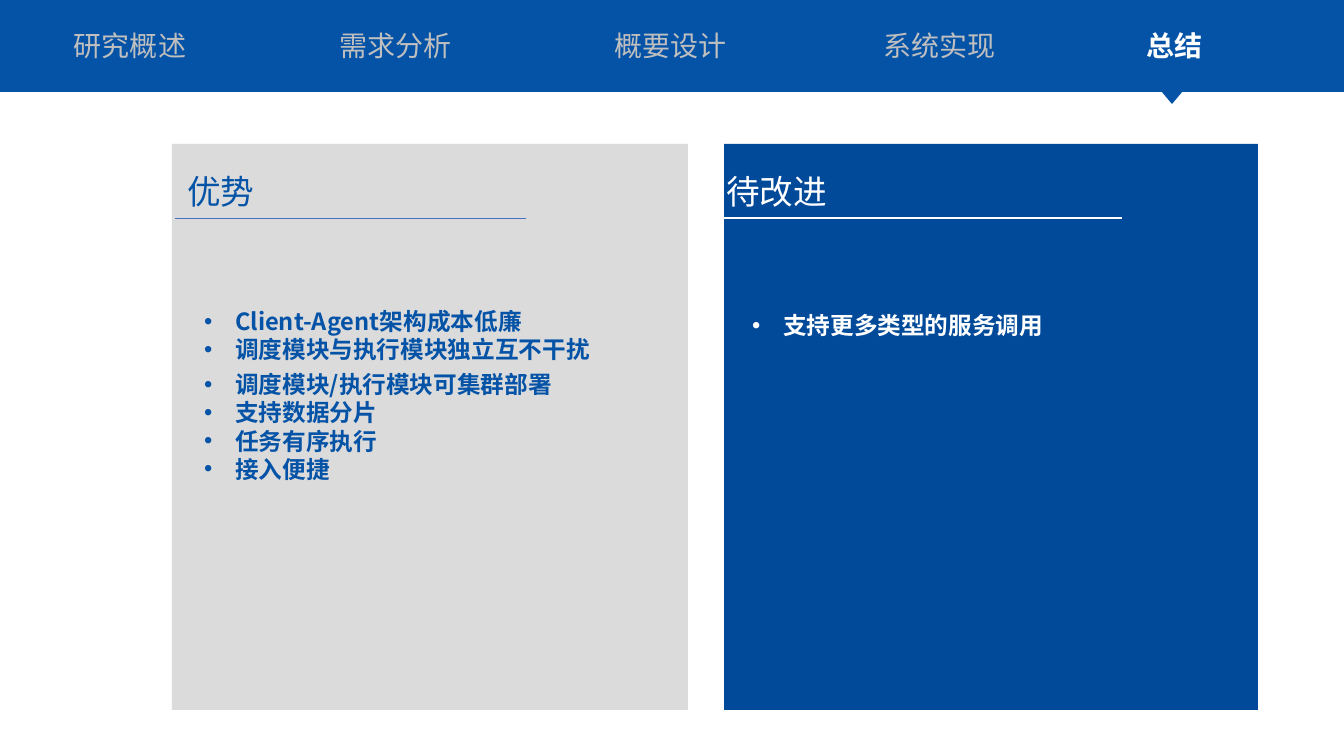
from pptx import Presentation
from pptx.dml.color import RGBColor
from pptx.enum.shapes import MSO_CONNECTOR, MSO_SHAPE as SHAPE
from pptx.enum.text import MSO_ANCHOR as ANCHOR, MSO_AUTO_SIZE as AUTOSIZE, PP_ALIGN as ALIGN
from pptx.oxml.ns import qn
from pptx.util import Pt
from lxml.etree import SubElement

PX = 9071  # EMU per pixel at 100.8 pixels to the inch
FONT = "Noto Sans CJK SC"
WHITE = RGBColor(0xFF, 0xFF, 0xFF)
SILVER = RGBColor(0xBF, 0xBF, 0xBF)
NAV_BLUE = RGBColor(0x05, 0x53, 0xA7)
PANEL_BLUE = RGBColor(0x01, 0x49, 0x99)
RULE_BLUE = RGBColor(0x44, 0x72, 0xC4)
INDENT = 31  # hanging indent of bullets

TABS = [("研究概述", 64), ("需求分析", 330), ("概要设计", 605),
        ("系统实现", 874), ("总结", 1136)]
ACTIVE = "总结"
STRENGTHS = ["Client-Agent架构成本低廉", "调度模块与执行模块独立互不干扰",
             "调度模块/执行模块可集群部署", "支持数据分片", "任务有序执行", "接入便捷"]
IMPROVEMENTS = ["支持更多类型的服务调用"]


def px(*lengths):
    return [round(length * PX) for length in lengths]


def write(holder, lines, box, *, size, color, bold=False, bullet=False, gap_after=None):
    """Fill a text holder, move it to box and bring it to the front."""
    holder.left, holder.top, holder.width, holder.height = px(*box)
    tree = holder._element.getparent()
    tree.append(holder._element)
    frame = holder.text_frame
    frame.text = "\n".join(lines)
    frame.word_wrap = True
    frame.auto_size = AUTOSIZE.NONE
    frame.vertical_anchor = ANCHOR.TOP
    for index, para in enumerate(frame.paragraphs):
        para.alignment = ALIGN.LEFT
        para.line_spacing = Pt(round(size * 1.19, 1))
        para.space_before = Pt(0)
        para.space_after = Pt(5 if index == gap_after else 0)
        props = para._p.get_or_add_pPr()
        hang = px(INDENT)[0] if bullet else 0
        props.set("marL", str(hang))
        props.set("indent", str(-hang))
        if bullet:
            SubElement(props, qn("a:buFont"), typeface="Arial")
            SubElement(props, qn("a:buChar"), char="•")
        else:
            SubElement(props, qn("a:buNone"))
        for run in para.runs:
            font = run.font
            font.name, font.size, font.bold = FONT, Pt(size), bold
            font.color.rgb = color
            SubElement(run._r.get_or_add_rPr(), qn("a:ea"), typeface=FONT)


def block(slide, kind, box, color, alpha=None):
    shape = slide.shapes.add_shape(kind, *px(*box))
    shape.shadow.inherit = False
    shape.fill.solid()
    shape.fill.fore_color.rgb = color
    shape.line.fill.background()
    if alpha is not None:
        tint = shape._element.spPr.find(qn("a:solidFill"))[0]
        SubElement(tint, qn("a:alpha"), val=str(alpha * 1000))
    return shape


def rule(slide, left, right, y, color, weight):
    line = slide.shapes.add_connector(MSO_CONNECTOR.STRAIGHT, *px(left, y, right, y))
    line.line.color.rgb = color
    line.line.width = Pt(weight)
    SubElement(line._element.spPr, qn("a:effectLst"))


def panel(slide, box, heading, items, *, holders, fill, ink, rule_style,
          heading_at, rule_at, list_at, alpha=None):
    """Coloured panel with heading, rule and bullet list, placed relative to box."""
    left, top, width, height = box
    heading_holder, list_holder = (slide.placeholders[i] for i in holders)
    block(slide, SHAPE.RECTANGLE, box, fill, alpha)
    write(heading_holder, [heading], (left + heading_at, top + 22, 232, 50),
          size=24, color=ink)
    rule(slide, left + rule_at[0], left + rule_at[1], top + 74, *rule_style)
    write(list_holder, items, (left + list_at[0], top + list_at[1], 415, 188),
          size=16.9, color=ink, bold=True, bullet=True, gap_after=1)


def navigation(slide, box):
    """Band of section tabs; the active one is the slide title."""
    left, top, width, height = box
    block(slide, SHAPE.RECTANGLE, box, NAV_BLUE)
    for label, tab_left in TABS:
        active = label == ACTIVE
        holder = slide.shapes.title if active else slide.shapes.add_textbox(0, 0, 0, 0)
        write(holder, [label], (left + tab_left, top + 24, 134, 44), size=20,
              color=WHITE if active else SILVER, bold=active)
        if active:
            marker = block(slide, SHAPE.ISOSCELES_TRIANGLE,
                           (left + tab_left + 20, top + height - 7, 32, 19), NAV_BLUE)
            marker.rotation = 180


deck = Presentation()
deck.slide_width, deck.slide_height = px(1344, 756)
summary = deck.slides.add_slide(deck.slide_layouts.get_by_name("Comparison"))

panel(summary, (724, 144, 534, 566), "待改进", IMPROVEMENTS, holders=(3, 4),
      fill=PANEL_BLUE, ink=WHITE, rule_style=(WHITE, 1.75),
      heading_at=-8, rule_at=(-8, 398), list_at=(18, 162))
panel(summary, (172, 144, 516, 566), "优势", STRENGTHS, holders=(1, 2),
      fill=SILVER, alpha=55, ink=NAV_BLUE, rule_style=(RULE_BLUE, 0.5),
      heading_at=5, rule_at=(3, 354), list_at=(22, 158))
navigation(summary, (0, 0, 1344, 92))

deck.save("out.pptx")
